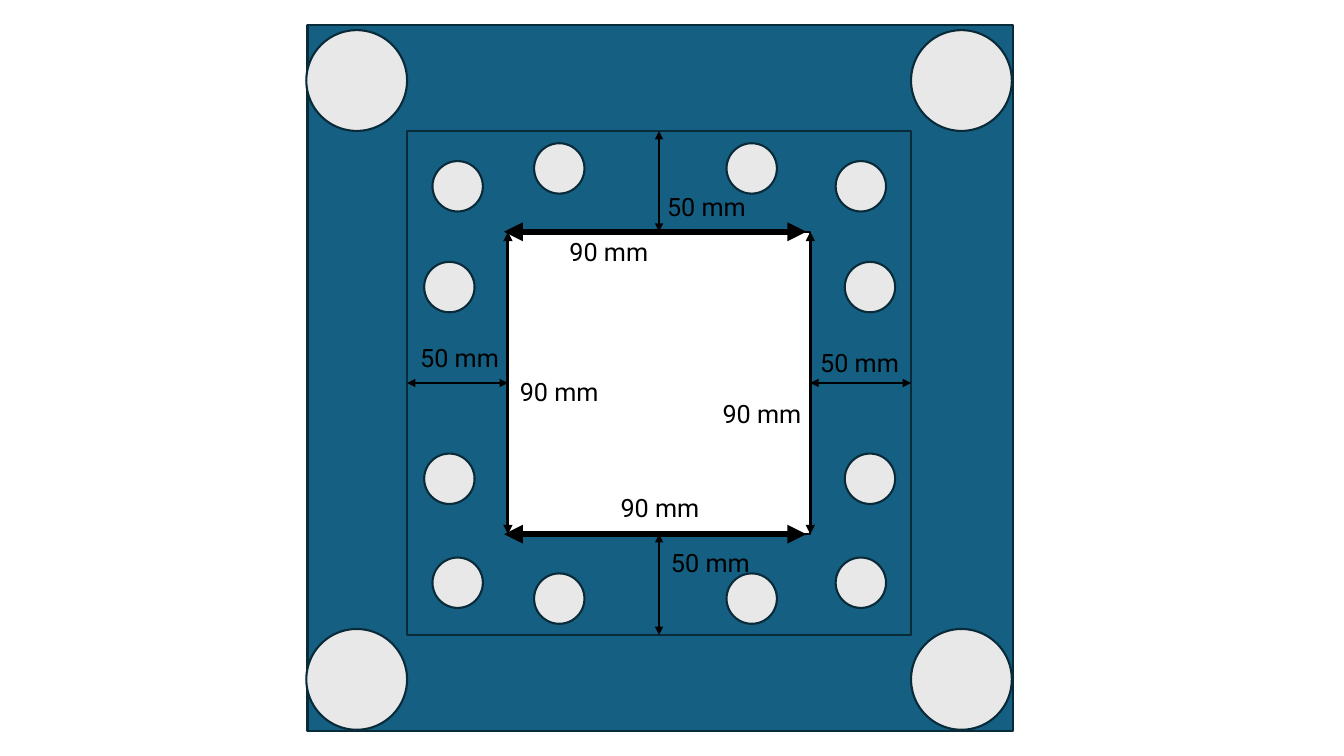
from itertools import product

from lxml import etree
from pptx import Presentation
from pptx.dml.color import RGBColor
from pptx.enum.shapes import MSO_CONNECTOR, MSO_SHAPE
from pptx.oxml.ns import qn
from pptx.util import Cm, Pt

RECTANGLE, OVAL = MSO_SHAPE.RECTANGLE, MSO_SHAPE.OVAL
STRAIGHT = MSO_CONNECTOR.STRAIGHT
TOP, LEFT, BOTTOM, RIGHT = range(4)

BLUE, NAVY, GRAY, WHITE, BLACK = "156082", "092A39", "E8E8E8", "FFFFFF", "000000"

# Squares: left, top, side in cm
PLATE = (7.75, 0.64, 17.78)
FLANGE = (10.26, 3.3, 12.7)
OPENING = (12.8, 5.84, 7.62)

# Each group has a hole at every pairing of a left and a top: lefts, tops, diameter
HOLE_GROUPS = [
    ((10.9, 21.06), (4.06, 14.05), 1.27),
    ((10.69, 21.29), (6.6, 11.43), 1.27),
    ((13.46, 18.31), (3.61, 14.45), 1.27),
    ((7.72, 22.96), (0.76, 15.85), 2.54),
]

# Labels: text, left, top
LABELS = [
    ("50 mm", 16.56, 4.7),
    ("50 mm", 20.42, 8.64),
    ("50 mm", 16.66, 13.67),
    ("50 mm", 10.34, 8.51),
    ("90 mm", 17.96, 9.91),
    ("90 mm", 14.1, 5.84),
    ("90 mm", 12.85, 9.37),
    ("90 mm", 15.39, 12.27),
]
LABEL_SIZE = (2.57, 1.02)
HORIZONTAL_SHIFT = 0.1  # the wide arrows sit slightly left of the opening


def color(hex_string):
    return RGBColor.from_string(hex_string)


def add_figure(slide, kind, left, top, side, fill, line):
    shape = slide.shapes.add_shape(kind, Cm(left), Cm(top), Cm(side), Cm(side))
    shape.shadow.inherit = False
    shape.fill.solid()
    shape.fill.fore_color.rgb = color(fill)
    shape.line.color.rgb = color(line)
    shape.line.width = Pt(1.5)
    return shape


def add_arrow(slide, start=(0, 0), end=(0, 0), width=1.5):
    """Add a black line with a triangle at both ends."""
    points = [Cm(value) for value in (*start, *end)]
    arrow = slide.shapes.add_connector(STRAIGHT, *points)
    arrow.line.color.rgb = color(BLACK)
    arrow.line.width = Pt(width)
    line = arrow.line._get_or_add_ln()
    for tag in ("a:headEnd", "a:tailEnd"):
        etree.SubElement(line, qn(tag)).set("type", "triangle")
    etree.SubElement(arrow._element.spPr, qn("a:effectLst"))
    return arrow


def add_text(slide, text, left, top, size=18, font="Roboto", text_color=BLACK):
    width, height = LABEL_SIZE
    box = slide.shapes.add_textbox(Cm(left), Cm(top), Cm(width), Cm(height))
    box.text_frame.word_wrap = True
    paragraph = box.text_frame.paragraphs[0]
    run = paragraph.add_run()
    run.text = text
    run.font.size = Pt(size)
    run.font.name = font
    run.font.color.rgb = color(text_color)


def main():
    presentation = Presentation()
    presentation.slide_width, presentation.slide_height = Cm(33.87), Cm(19.05)
    slide = presentation.slides.add_slide(presentation.slide_layouts[6])

    add_figure(slide, RECTANGLE, *PLATE, BLUE, NAVY)
    flange = add_figure(slide, RECTANGLE, *FLANGE, BLUE, NAVY)
    opening = add_figure(slide, RECTANGLE, *OPENING, WHITE, BLACK)

    for lefts, tops, diameter in HOLE_GROUPS:
        for left, top in product(lefts, tops):
            add_figure(slide, OVAL, left, top, diameter, GRAY, NAVY)

    for side in (TOP, LEFT, BOTTOM, RIGHT):
        arrow = add_arrow(slide)
        arrow.begin_connect(flange, side)
        arrow.end_connect(opening, side)

    left, top, length = OPENING
    right, bottom = left + length, top + length
    for x in (left, right):
        add_arrow(slide, (x, bottom), (x, top), width=2.25)
    for y in (top, bottom):
        add_arrow(slide, (right - HORIZONTAL_SHIFT, y), (left - HORIZONTAL_SHIFT, y), width=4.5)

    for label in LABELS:
        add_text(slide, *label)

    presentation.save("out.pptx")


if __name__ == "__main__":
    main()
